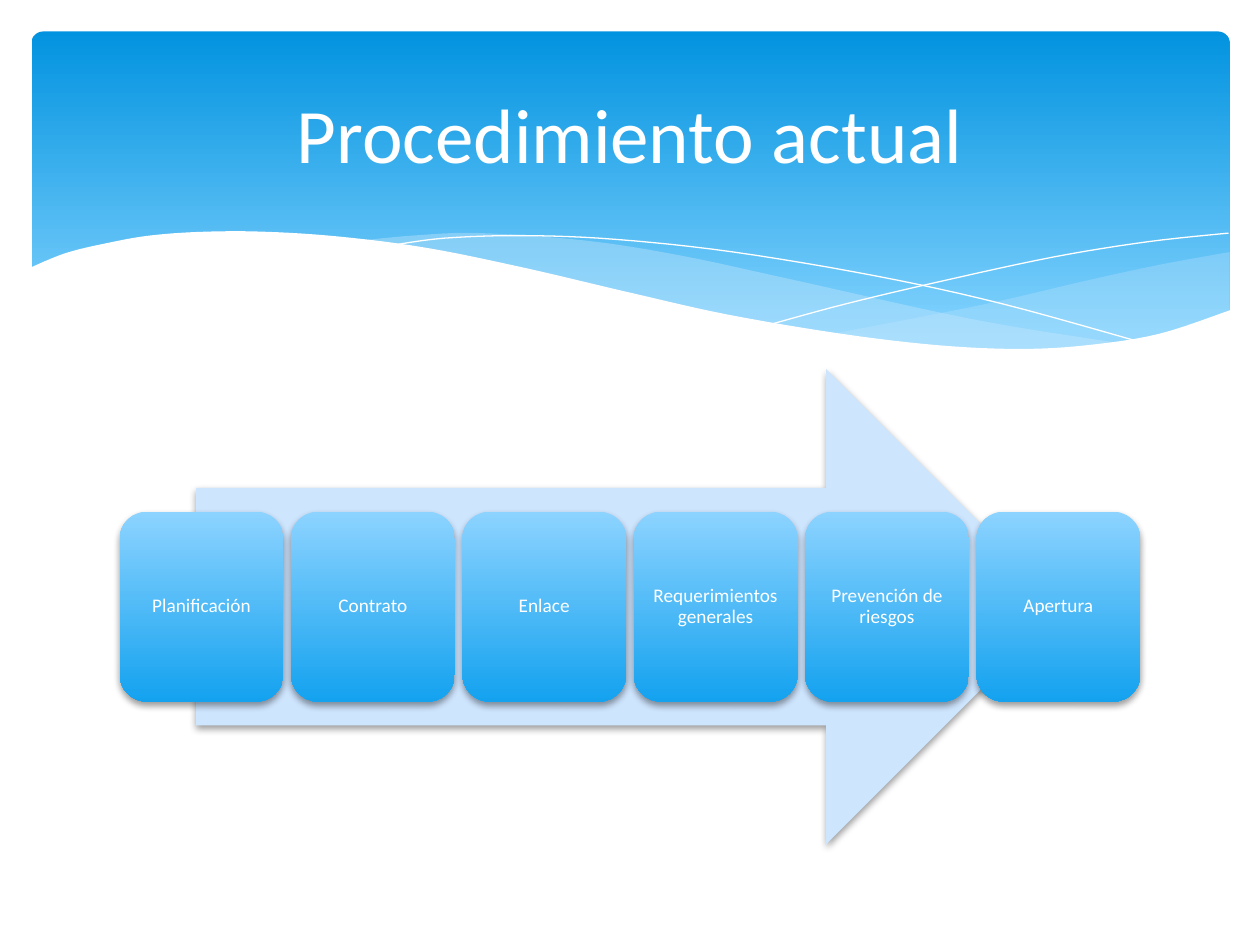
from lxml import etree
from pptx import Presentation
from pptx import util as u
from pptx.dml.color import RGBColor
from pptx.enum import shapes, text
from pptx.oxml import ns

WHITE = RGBColor(0xFF, 0xFF, 0xFF)
BANNER_TOP = RGBColor(0x02, 0x93, 0xE0)
BANNER_END = RGBColor(0x83, 0xD3, 0xFE)
WAVE = RGBColor(0xC6, 0xE7, 0xFC)
ARROW = RGBColor(0xCE, 0xE5, 0xFE)
STEP_TOP = RGBColor(0x8C, 0xD3, 0xFF)
STEP_END = RGBColor(0x14, 0xA2, 0xEF)
SHADOW = RGBColor(0, 0, 0)
FONT = "Calibri"

COLS, ROWS = 100, 75
CELL = u.Inches(10) // COLS

RIGHT_WAVE_TOP = [(97.6, 20), (92.1, 21), (86.1, 22.3), (77.9, 24.2), (66.1, 26.5)]
RIGHT_WAVE_BASE = [(66.1, 26.5), (73.2, 27.4), (80.3, 27.8), (87.2, 27.4),
                   (93.5, 26.2), (97.6, 24.7)]
LEFT_WAVE_TOP = [(89.3, 27.3), (77.5, 25.4), (62.9, 22.2), (54.1, 20.3), (46.5, 19.1),
                 (38, 18.5), (32.8, 18.7), (28.6, 19.1)]
LEFT_WAVE_BASE = [(28.6, 19.1), (36.2, 20.3), (44.9, 22.2), (53, 24), (61.8, 25.8),
                  (70.9, 27.2), (78.5, 27.8), (84.8, 27.7), (89.3, 27.3)]
FALLING_LINE = [(30.9, 19.5), (35.3, 18.9), (41.6, 18.7), (48.9, 19), (58.2, 20),
                (69.5, 21.9), (79.5, 24.1), (90.7, 27.2)]
RISING_LINE = [(61.3, 25.7), (67.2, 24.1), (74.8, 22.3), (83.6, 20.4), (91, 19.2),
               (97.5, 18.5)]
BANNER_EDGE = [(97.7, 24.6), (92, 26.5), (86.3, 27.4), (80.9, 27.7), (74.4, 27.4),
               (66.8, 26.5), (57.9, 25), (50.3, 23.3), (41.8, 21.3), (34, 19.7),
               (27.1, 18.8), (21.1, 18.4), (16.1, 18.4), (11.9, 18.7), (8.5, 19.3),
               (5.2, 20.1), (2.3, 21.3)]


def smooth(knots, parts=6):
    ends = [knots[0], *knots, knots[-1]]
    points = []
    for a, b, c, d in zip(ends, ends[1:], ends[2:], ends[3:]):
        for i in range(parts):
            t = i / parts
            points.append(tuple(
                q + t * (r - p + t * (2 * p - 5 * q + 4 * r - s
                                      + t * (3 * q - p - 3 * r + s))) / 2
                for p, q, r, s in zip(a, b, c, d)))
    return points + [knots[-1]]


def cells(*lengths):
    return [round(n * CELL) for n in lengths]


def add_path(s, points, closed=True):
    pts = [cells(*p) for p in points]
    builder = s.shapes.build_freeform(*pts[0])
    builder.add_line_segments(pts[1:], close=closed)
    sp = builder.convert_to_shape()
    sp.shadow.inherit = False
    return sp


def add_area(s, points, color, opacity=100):
    sp = add_path(s, points)
    sp.fill.solid()
    sp.fill.fore_color.rgb = color
    sp.line.fill.background()
    if opacity < 100:
        clr = sp.fill._xPr.find(".//" + ns.qn("a:srgbClr"))
        etree.SubElement(clr, ns.qn("a:alpha"), val=str(opacity * 1000))


def add_hairline(s, knots):
    sp = add_path(s, smooth(knots), closed=False)
    sp.fill.background()
    sp.line.color.rgb = WHITE
    sp.line.width = u.Pt(0)


def add_preset(s, kind, box):
    sp = s.shapes.add_shape(kind, *cells(*box))
    sp.shadow.inherit = False
    sp.line.fill.background()
    return sp


def shade(sp, first, last, end=1.0):
    sp.fill.gradient()
    sp.fill.gradient_angle = 270
    for stop, color, pos in zip(sp.fill.gradient_stops, (first, last), (0, end)):
        stop.color.rgb = color
        stop.position = pos


def cast_shadow(sp):
    effects = sp._element.spPr.find(ns.qn("a:effectLst"))
    outer = etree.SubElement(effects, ns.qn("a:outerShdw"), blurRad=str(u.Pt(4)),
                             dist=str(u.Pt(2)), dir="5400000", rotWithShape="0")
    clr = etree.SubElement(outer, ns.qn("a:srgbClr"), val=str(SHADOW))
    etree.SubElement(clr, ns.qn("a:alpha"), val="38000")


def write(sp, words, size):
    tf = sp.text_frame
    tf.word_wrap = True
    tf.vertical_anchor = text.MSO_ANCHOR.MIDDLE
    p = tf.paragraphs[0]
    p.text = words
    p.alignment = text.PP_ALIGN.CENTER
    p.font.name, p.font.size = FONT, u.Pt(size)
    p.font.color.rgb = WHITE
    return tf


def add_banner(s, box):
    x, y, w, h = box
    sp = add_preset(s, shapes.MSO_SHAPE.ROUNDED_RECTANGLE, box)
    sp.adjustments[0] = 0.034
    shade(sp, BANNER_TOP, BANNER_END, 0.9)
    add_area(s, smooth(RIGHT_WAVE_TOP) + smooth(RIGHT_WAVE_BASE), WAVE, 29)
    add_area(s, smooth(LEFT_WAVE_TOP) + smooth(LEFT_WAVE_BASE), WAVE, 40)
    add_hairline(s, FALLING_LINE)
    add_hairline(s, RISING_LINE)
    bottom = y + h + 3.4
    add_area(s, smooth(BANNER_EDGE) + [(2.3, bottom), (97.7, bottom)], WHITE)


def add_process(s, box, steps, gap=0.6):
    x, y, w, h = box
    arrow = add_preset(s, shapes.MSO_SHAPE.RIGHT_ARROW,
                       (x + w * 0.075, y, w * 0.85, h))
    arrow.fill.solid()
    arrow.fill.fore_color.rgb = ARROW
    cast_shadow(arrow)
    width = (w - gap * (len(steps) - 1)) / len(steps)
    for i, step in enumerate(steps):
        sp = add_preset(s, shapes.MSO_SHAPE.ROUNDED_RECTANGLE,
                        (x + i * (width + gap), y + h * 0.3, width, h * 0.4))
        shade(sp, STEP_TOP, STEP_END)
        cast_shadow(sp)
        tf = write(sp, step, 11)
        tf.margin_left = tf.margin_right = u.Inches(0.05)
        tf.margin_top = tf.margin_bottom = u.Inches(0.05)
        tf.paragraphs[0].line_spacing = 0.9


def add_title(s, box, words):
    write(s.shapes.add_textbox(*cells(*box)), words, 44)


def main():
    prs = Presentation()
    prs.slide_width, prs.slide_height = cells(COLS, ROWS)
    s = prs.slides.add_slide(prs.slide_layouts[6])
    add_banner(s, (2.5, 2.5, 95.1, 27))
    add_process(s, (9.5, 29.3, 81, 37.7),
                ["Planificación", "Contrato", "Enlace", "Requerimientos generales",
                 "Prevención de riesgos", "Apertura"])
    add_title(s, (5, 3.7, 90, 13.7), "Procedimiento actual")
    prs.save("out.pptx")


if __name__ == "__main__":
    main()
